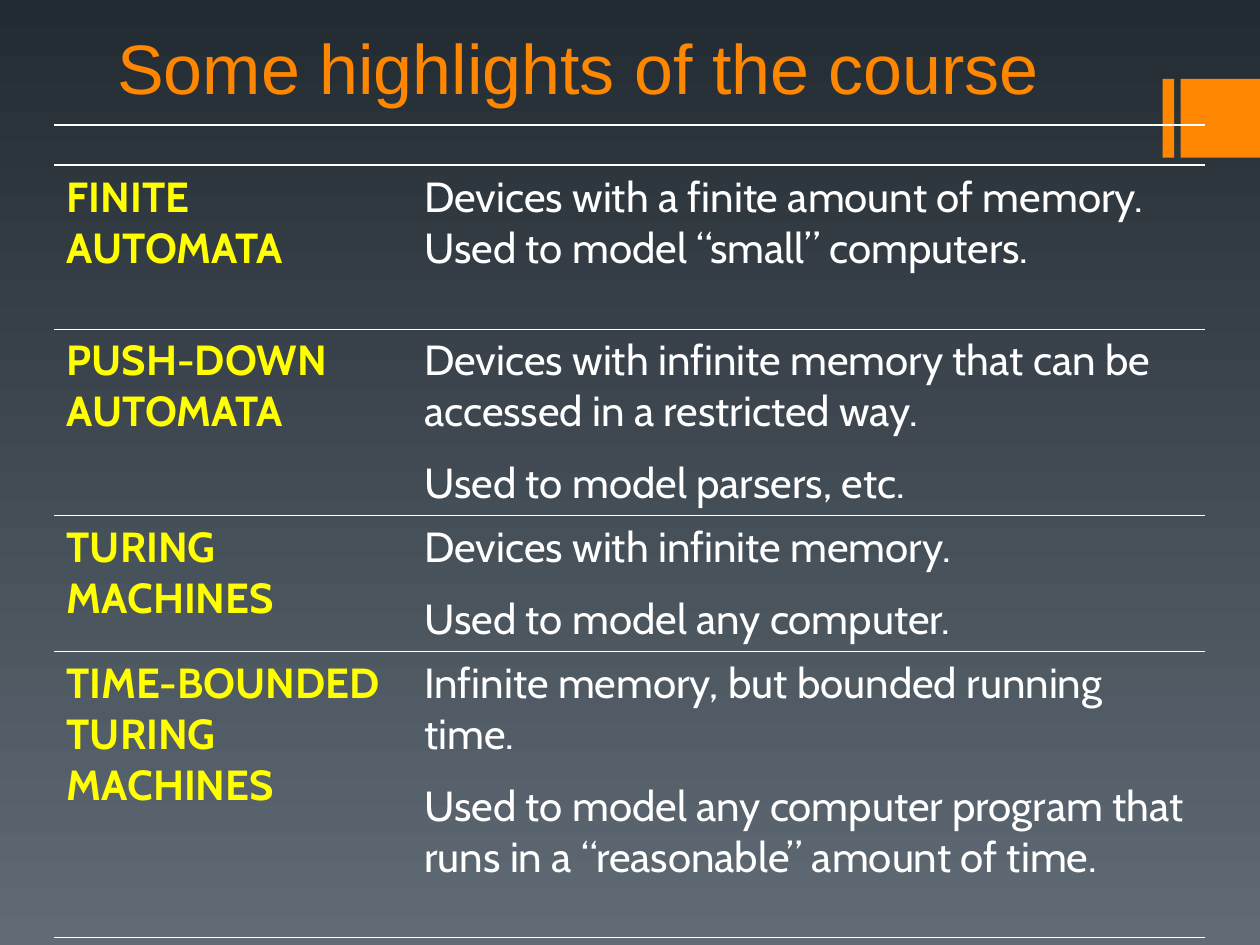
import pptx
import pptx.dml.color
import pptx.enum.shapes
import pptx.enum.text
import pptx.oxml
import pptx.oxml.ns
import pptx.util
from pptx.util import Cm, Pt

RGBColor = pptx.dml.color.RGBColor
DARK = RGBColor(0x23, 0x2B, 0x32)
SLATE = RGBColor(0x60, 0x6B, 0x76)
ORANGE = RGBColor(0xFF, 0x86, 0x00)
YELLOW = RGBColor(0xFF, 0xFF, 0x00)
WHITE = RGBColor(0xFF, 0xFF, 0xFF)

LEFT = 1.09
COLS = (7.21, 16.0)
WIDTH = sum(COLS)
THIN, THICK = 0.45, 1.08

# Row height in cm, topic, paragraphs
ROWS = [
    (3.3, "FINITE AUTOMATA",
     ["Devices with a finite amount of memory.\nUsed to model “small” computers."]),
    (3.73, "PUSH-DOWN AUTOMATA",
     ["Devices with infinite memory that can be accessed in a restricted way.",
      "Used to model parsers, etc."]),
    (2.72, "TURING MACHINES",
     ["Devices with infinite memory.", "Used to model any computer."]),
    (5.77, "TIME-BOUNDED TURING MACHINES",
     ["Infinite memory, but bounded running time.",
      "Used to model any computer program that runs in a “reasonable” amount of time."]),
]


def style(para, face, size, color, bold=False):
    font = para.font
    font.name, font.size, font.bold = face, Pt(size), bold
    font.color.rgb = color


def paint_back(slide):
    fill = slide.background.fill
    fill.gradient()
    fill.gradient_angle = 270
    for stop, color, place in zip(fill.gradient_stops, (DARK, SLATE), (0, 1)):
        stop.color.rgb = color
        stop.position = place


def add_block(slide, left, width):
    block = slide.shapes.add_shape(
        pptx.enum.shapes.MSO_SHAPE.RECTANGLE,
        Cm(left), Cm(1.59), Cm(width), Cm(1.59))
    block.shadow.inherit = False
    block.fill.solid()
    block.fill.fore_color.rgb = ORANGE
    block.line.fill.background()


def add_rule(slide, top):
    rule = slide.shapes.add_connector(
        pptx.enum.shapes.MSO_CONNECTOR.STRAIGHT,
        Cm(LEFT), Cm(top), Cm(LEFT + WIDTH), Cm(top))
    rule.line.color.rgb = WHITE
    rule.line.width = Pt(0.75)
    props = rule._element.spPr
    props.append(pptx.oxml.parse_xml(
        f"<a:effectLst {pptx.oxml.ns.nsdecls('a')}/>"))


def set_title(slide, text):
    title = slide.shapes.title
    title.left, title.top = Cm(2.11), Cm(0)
    title.width, title.height = Cm(20.32), Cm(2.31)
    frame = title.text_frame
    frame.text = text
    frame.word_wrap = True
    frame.auto_size = pptx.enum.text.MSO_AUTO_SIZE.NONE
    frame.vertical_anchor = pptx.enum.text.MSO_ANCHOR.BOTTOM
    para = frame.paragraphs[0]
    para.alignment = pptx.enum.text.PP_ALIGN.LEFT
    style(para, "Arial", 40, ORANGE)


def set_edges(cell, top, base):
    """Draw white lines above and below the cell, and none at its sides."""
    props = cell._tc.get_or_add_tcPr()
    for side, width in (("L", 0), ("R", 0), ("T", top), ("B", base)):
        paint = (f'<a:solidFill><a:srgbClr val="{WHITE}"/></a:solidFill>'
                 if width else "<a:noFill/>")
        props.append(pptx.oxml.parse_xml(
            f'<a:ln{side} {pptx.oxml.ns.nsdecls("a")} w="{int(Pt(width))}">'
            f"{paint}</a:ln{side}>"))


def fill_cell(cell, texts, color, bold):
    cell.fill.background()
    frame = cell.text_frame
    for i, text in enumerate(texts):
        para = frame.add_paragraph() if i else frame.paragraphs[0]
        para.text = text
        if i:
            para.space_before = Pt(12)
        style(para, "Cabin", 24, color, bold)


def add_topics(slide):
    high = sum(row[0] for row in ROWS)
    table = slide.shapes.add_table(
        len(ROWS), len(COLS), Cm(LEFT), Cm(3.33), Cm(WIDTH), Cm(high)).table
    table.first_row = table.horz_banding = False
    for col, width in zip(table.columns, COLS):
        col.width = Cm(width)
    for i, (height, topic, notes) in enumerate(ROWS):
        table.rows[i].height = Cm(height)
        top = THIN if i else THICK
        base = THICK if i == len(ROWS) - 1 else THIN
        looks = (([topic], YELLOW, True), (notes, WHITE, False))
        for cell, look in zip(table.rows[i].cells, looks):
            set_edges(cell, top, base)
            fill_cell(cell, *look)


def main():
    deck = pptx.Presentation()
    deck.slide_width, deck.slide_height = Cm(25.4), Cm(19.05)
    slide = deck.slides.add_slide(deck.slide_layouts[5])
    paint_back(slide)
    add_block(slide, 23.44, 0.23)
    add_block(slide, 23.8, 1.6)
    add_rule(slide, 2.52)
    add_topics(slide)
    set_title(slide, "Some highlights of the course")
    deck.save("out.pptx")


if __name__ == "__main__":
    main()
